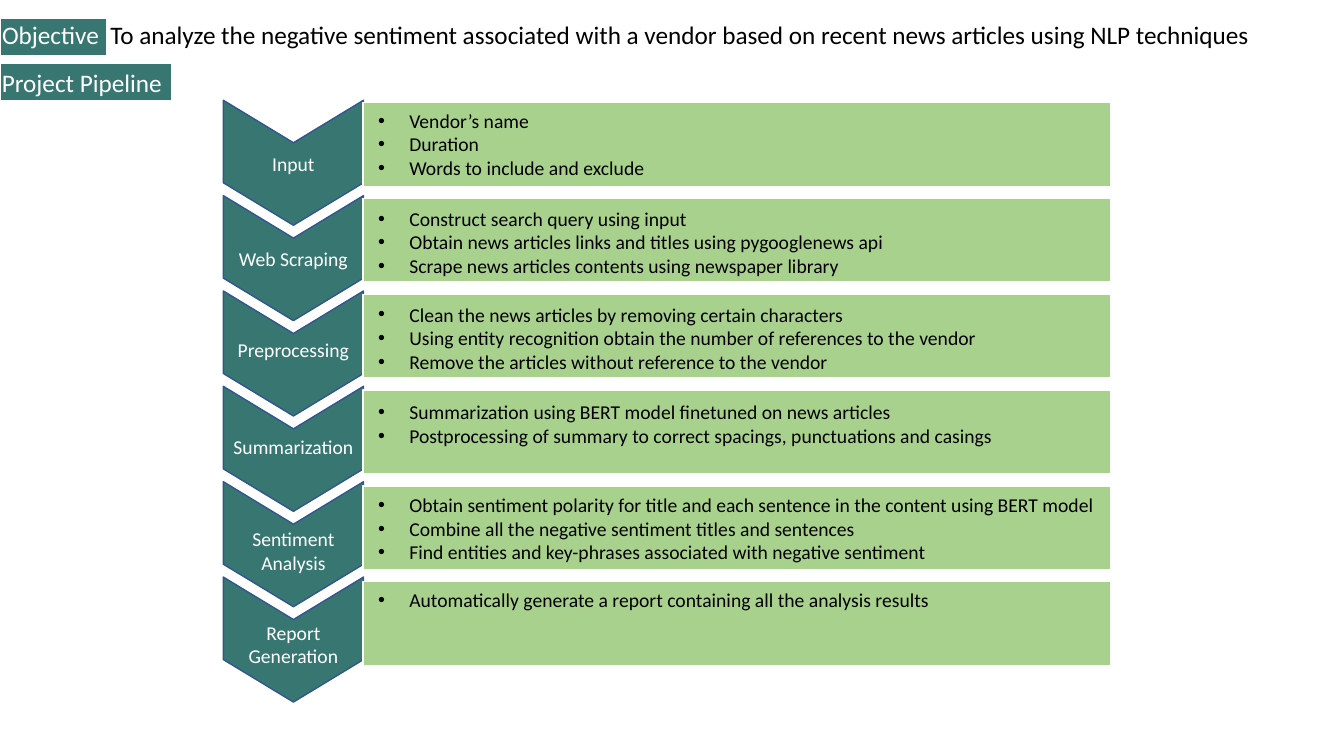
"""Build a slide showing a news sentiment pipeline of six stages."""
from copy import deepcopy
from dataclasses import dataclass

from lxml.etree import SubElement
from pptx import Presentation
from pptx.dml.color import RGBColor
from pptx.enum.shapes import MSO_SHAPE
from pptx.enum.text import MSO_ANCHOR, MSO_AUTO_SIZE, PP_ALIGN
from pptx.oxml.ns import qn
from pptx.util import Inches, Pt


@dataclass(frozen=True)
class Theme:
    """Colours, font and type sizes of the slide."""
    teal: str = "387771"
    green: str = "A9D18E"
    navy: str = "325491"
    white: str = "FFFFFF"
    black: str = "000000"
    font: str = "Calibri"
    heading: int = 18
    text: int = 14


@dataclass(frozen=True)
class Stage:
    """A pipeline stage with its label, its steps and their top edges."""
    label: str
    label_top: float
    list_top: float
    steps: tuple


THEME = Theme()
SLIDE_WIDTH, SLIDE_HEIGHT = 13.33, 7.5
HEADING_LEFT = -0.08
CHEVRON_TOP, CHEVRON_PITCH = 0.92, (5.65 - 0.92) / 5
PANEL_TOP, PANEL_PITCH = 1.02, 0.95
LINE_HEIGHT, TEXT_PADDING = 0.235, 0.1
BULLET_INDENT = 0.31
FIRST_EXTRA_INDEX = 20

OBJECTIVE = (
    "To analyze the negative sentiment associated with a vendor "
    "based on recent news articles using NLP techniques"
)
STAGES = (
    Stage("Input", 1.46, 1.03, (
        "Vendor’s name",
        "Duration",
        "Words to include and exclude",
    )),
    Stage("Web Scraping", 2.4, 2, (
        "Construct search query using input",
        "Obtain news articles links and titles using pygooglenews api",
        "Scrape news articles contents using newspaper library",
    )),
    Stage("Preprocessing", 3.3, 2.95, (
        "Clean the news articles by removing certain characters",
        "Using entity recognition obtain the number of references to the vendor",
        "Remove the articles without reference to the vendor",
    )),
    Stage("Summarization", 4.27, 3.92, (
        "Summarization using BERT model finetuned on news articles",
        "Postprocessing of summary to correct spacings, punctuations and casings",
    )),
    Stage("Sentiment Analysis", 5.18, 4.84, (
        "Obtain sentiment polarity for title and each sentence in the content using BERT model",
        "Combine all the negative sentiment titles and sentences",
        "Find entities and key-phrases associated with negative sentiment",
    )),
    Stage("Report Generation", 6.11, 5.78, (
        "Automatically generate a report containing all the analysis results",
    )),
)


def add_list_placeholders(layout, count):
    """Give the layout as many body placeholders as there are lists."""
    body = next(item for item in layout.placeholders if item.placeholder_format.idx == 1)
    for number in range(count - 1):
        element = deepcopy(body.element)
        element.ph.idx = FIRST_EXTRA_INDEX + number
        element.nvSpPr.cNvPr.set("id", str(FIRST_EXTRA_INDEX + number))
        element.nvSpPr.cNvPr.set("name", f"Stage List {number + 2}")
        body.element.getparent().append(element)


def add_block(slide, preset, box, fill, line):
    """Add a filled preset shape with a thin outline."""
    shape = slide.shapes.add_shape(preset, *map(Inches, box))
    shape.shadow.inherit = False
    shape.fill.solid()
    shape.fill.fore_color.rgb = RGBColor.from_string(fill)
    shape.line.color.rgb = RGBColor.from_string(line)
    shape.line.width = Pt(1)
    return shape


def add_bullet(paragraph):
    """Give a paragraph a hanging round bullet."""
    properties = paragraph._p.get_or_add_pPr()
    properties.set("marL", str(Inches(BULLET_INDENT)))
    properties.set("indent", str(-Inches(BULLET_INDENT)))
    SubElement(properties, qn("a:buFont"), typeface="Arial")
    SubElement(properties, qn("a:buChar"), char="•")


def write_text(shape, paragraphs, box, size=THEME.text, align=PP_ALIGN.LEFT, bullets=False):
    """Place a text shape in front and fill it with paragraphs of coloured runs."""
    shape.left, shape.top, shape.width, shape.height = map(Inches, box)
    shape.element.getparent().append(shape.element)
    frame = shape.text_frame
    frame.word_wrap = True
    frame.auto_size = MSO_AUTO_SIZE.SHAPE_TO_FIT_TEXT
    frame.vertical_anchor = MSO_ANCHOR.TOP
    for number, runs in enumerate(paragraphs):
        paragraph = frame.add_paragraph() if number else frame.paragraphs[0]
        paragraph.alignment = align
        paragraph.line_spacing = 1.0
        paragraph.space_before = Pt(0)
        if bullets:
            add_bullet(paragraph)
        for text, colour in runs:
            run = paragraph.add_run()
            run.text = text
            run.font.name = THEME.font
            run.font.size = Pt(size)
            run.font.color.rgb = RGBColor.from_string(colour)


def add_headings(slide):
    """Add the objective title and the pipeline heading on their plates."""
    for top, width in ((0.18, 1.06), (0.63, 1.7)):
        add_block(slide, MSO_SHAPE.RECTANGLE, (0, top, width, 0.37), THEME.teal, THEME.white)
    write_text(
        slide.shapes.title,
        [[("Objective  ", THEME.white), (OBJECTIVE, THEME.black)]],
        (HEADING_LEFT, 0.14, SLIDE_WIDTH, 0.4),
        size=THEME.heading,
    )
    write_text(
        slide.shapes.add_textbox(0, 0, 0, 0),
        [[("Project Pipeline", THEME.white)]],
        (HEADING_LEFT, 0.62, 2, 0.4),
        size=THEME.heading,
    )


def add_chevron(slide, row):
    """Add the downward chevron of a row."""
    box = (2.29, CHEVRON_TOP + row * CHEVRON_PITCH, 1.24, 1.39)
    chevron = add_block(slide, MSO_SHAPE.CHEVRON, box, THEME.teal, THEME.navy)
    chevron.adjustments[0] = 0.34
    chevron.rotation = 90


def add_stage(slide, row, stage, list_placeholder):
    """Add the panel, label and list of a stage."""
    panel = (3.6, PANEL_TOP + row * PANEL_PITCH, 7.42, 0.83)
    add_block(slide, MSO_SHAPE.RECTANGLE, panel, THEME.green, THEME.white)
    label_lines = len(stage.label.split()) if len(stage.label) > 13 else 1
    write_text(
        slide.shapes.add_textbox(0, 0, 0, 0),
        [[(stage.label, THEME.white)]],
        (2.12, stage.label_top, 1.58, TEXT_PADDING + label_lines * LINE_HEIGHT),
        align=PP_ALIGN.CENTER,
    )
    write_text(
        list_placeholder,
        [[(step, THEME.black)] for step in stage.steps],
        (3.65, stage.list_top, 7.33, TEXT_PADDING + len(stage.steps) * LINE_HEIGHT),
        bullets=True,
    )


def main():
    """Build and save the presentation."""
    presentation = Presentation()
    presentation.slide_width = Inches(SLIDE_WIDTH)
    presentation.slide_height = Inches(SLIDE_HEIGHT)
    layout = presentation.slide_layouts[1]
    add_list_placeholders(layout, len(STAGES))
    slide = presentation.slides.add_slide(layout)
    lists = [item for item in slide.placeholders if item.placeholder_format.idx > 0]
    add_headings(slide)
    for row in range(len(STAGES)):
        add_chevron(slide, row)
    for row, (stage, list_placeholder) in enumerate(zip(STAGES, lists)):
        add_stage(slide, row, stage, list_placeholder)
    presentation.save("out.pptx")


if __name__ == "__main__":
    main()
